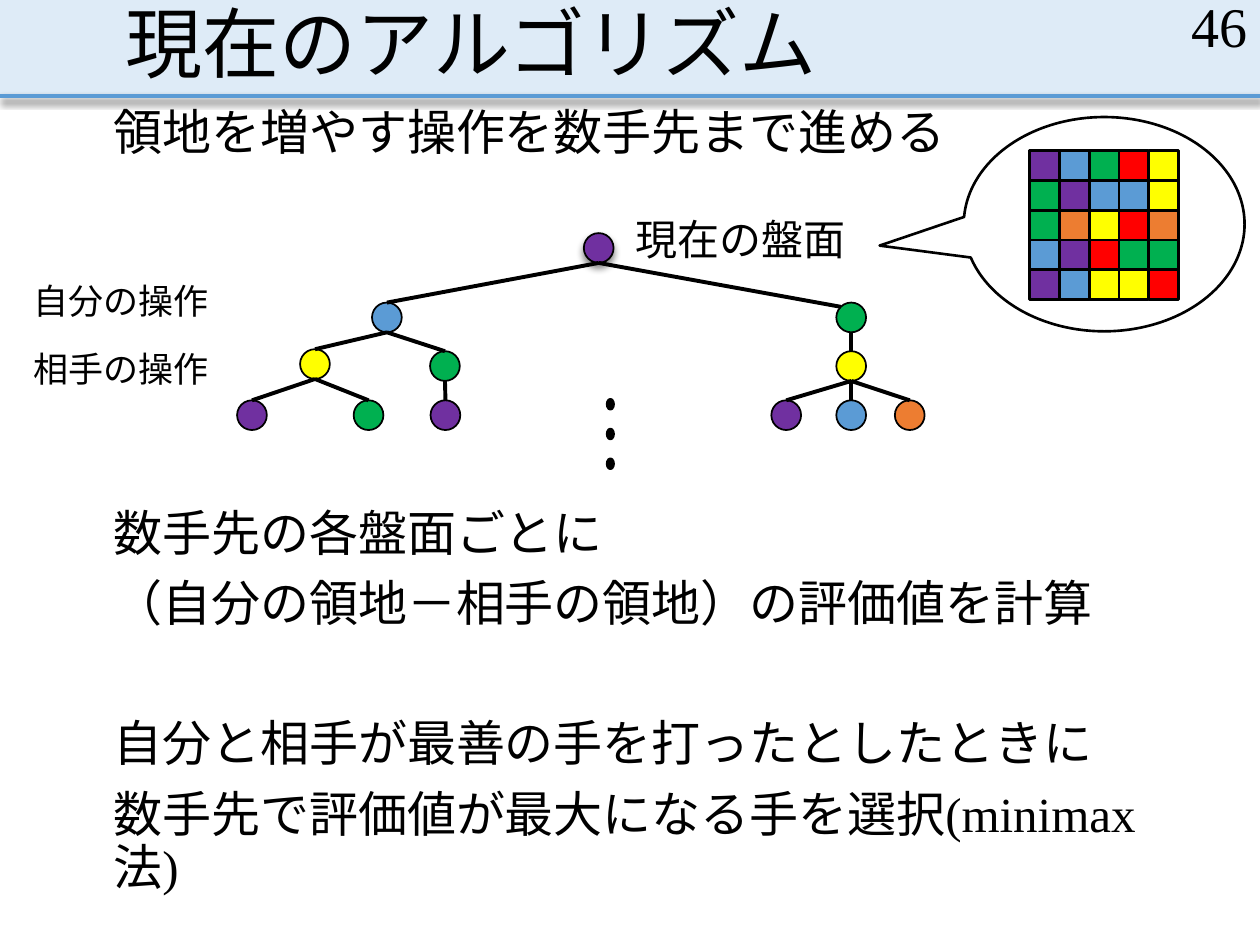
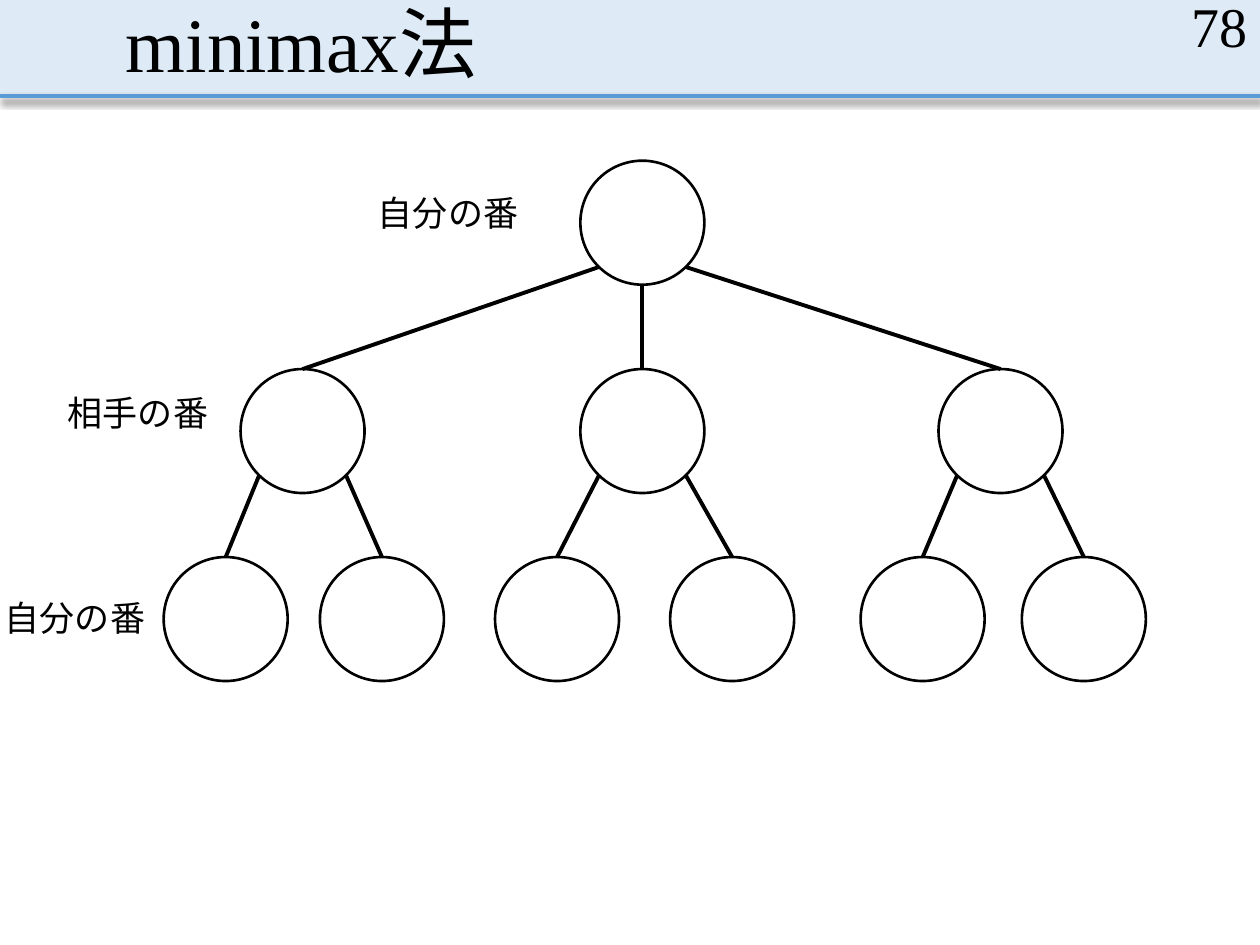
from math import sqrt

from lxml.etree import SubElement
from pptx import Presentation
from pptx.dml.color import RGBColor
from pptx.enum.lang import MSO_LANGUAGE_ID as Language
from pptx.enum.shapes import MSO_CONNECTOR as Connector, MSO_SHAPE as Shape
from pptx.enum.text import MSO_ANCHOR as Anchor, PP_ALIGN as Align
from pptx.oxml.ns import qn
from pptx.util import Cm, Pt

rgb = RGBColor.from_string
FONT = "Times New Roman"
BLACK, WHITE, PALE = "000000", "FFFFFF", "DEEBF7"
PURPLE, BLUE, GREEN = "7030A0", "5B9BD5", "00B050"
YELLOW, RED, ORANGE = "FFFF00", "FF0000", "ED7D31"


def add_figure(shapes, kind, left, top, width, height, fill, line=0):
    """Add a preset shape measured in cm; a line of 0 points means no outline."""
    figure = shapes.add_shape(kind, Cm(left), Cm(top), Cm(width), Cm(height))
    figure.shadow.inherit = False
    figure.fill.solid()
    figure.fill.fore_color.rgb = rgb(fill)
    if line:
        figure.line.color.rgb = rgb(BLACK)
        figure.line.width = Pt(line)
    else:
        figure.line.fill.background()
    return figure


def add_text(page, place, size, lines, spacing=1.0, inset=0.25,
             anchor=Anchor.TOP, align=Align.LEFT):
    """Add a text box; lines holds (text, points of space before) pairs."""
    box = page.shapes.add_textbox(*[Cm(length) for length in place])
    frame = box.text_frame
    frame.word_wrap = True
    frame.vertical_anchor = anchor
    frame.margin_left = frame.margin_right = Cm(inset)
    for index, (text, before) in enumerate(lines):
        para = frame.add_paragraph() if index else frame.paragraphs[0]
        para.alignment = align
        para.line_spacing = spacing
        para.space_before = Pt(before)
        span = para.add_run()
        span.text = text
        span.font.name = FONT
        span.font.size = Pt(size)
        span.font.language_id = Language.JAPANESE
        span.font.color.rgb = rgb(BLACK)


deck = Presentation()
deck.slide_width, deck.slide_height = Cm(25.4), Cm(19.05)

# Shared header: band, rule, title and page number
pages, raised = [], []
for title, number in [("現在のアルゴリズム", "46"), ("minimax法", "78")]:
    page = deck.slides.add_slide(deck.slide_layouts[6])
    pages.append(page)
    add_figure(page.shapes, Shape.RECTANGLE, 0, 0, 25.4, 1.93, PALE)
    rule = page.shapes.add_connector(Connector.STRAIGHT, 0, Cm(1.93), Cm(25.4), Cm(1.93))
    rule.line.color.rgb = rgb(BLUE)
    rule.line.width = Pt(2.25)
    raised.append((rule, SubElement(rule._element.spPr, qn("a:effectLst"))))
    add_text(page, (2.29, 0, 20.96, 1.93), 44, [(title, 0)], 0.9, anchor=Anchor.BOTTOM)
    add_text(page, (19.69, 0, 5.71, 1.02), 32, [(number, 0)],
             anchor=Anchor.MIDDLE, align=Align.RIGHT)
algorithm, minimax = pages

# Wording of the algorithm slide
add_text(algorithm, (2.29, 2.06, 20.96, 1.55), 28,
         [("領地を増やす操作を数手先まで進める", 0)], 0.9, inset=0)
add_text(algorithm, (2.29, 10.13, 21.87, 6.73), 28, [
    ("数手先の各盤面ごとに", 0),
    ("（自分の領地－相手の領地）の評価値を計算", 10),
    ("自分と相手が最善の手を打ったとしたときに", 50),
    ("数手先で評価値が最大になる手を選択(minimax法)", 10),
], 0.9, inset=0)
add_text(algorithm, (12.57, 4.17, 5.2, 1.27), 24, [("現在の盤面", 0)])

# Who moves at each level
for page, left, top, width, label in [
    (algorithm, 0.43, 5.51, 4.17, "自分の操作"),
    (algorithm, 0.43, 6.88, 4.17, "相手の操作"),
    (minimax, 7.37, 3.73, 3.45, "自分の番"),
    (minimax, 1.12, 7.77, 3.45, "相手の番"),
    (minimax, -0.15, 11.91, 3.45, "自分の番"),
]:
    add_text(page, (left, top, width, 1.12), 20, [(label, 0)])

# Current board in its callout
callout = algorithm.shapes.add_group_shape()
bubble = add_figure(callout.shapes, Shape.OVAL_CALLOUT, 19.43, 2.36, 5.66, 4.32, WHITE, 1.5)
bubble.adjustments[0], bubble.adjustments[1] = -0.8, 0.1
CELL = 0.6
board = [
    (PURPLE, BLUE, GREEN, RED, YELLOW),
    (GREEN, PURPLE, BLUE, BLUE, YELLOW),
    (GREEN, ORANGE, YELLOW, RED, ORANGE),
    (BLUE, PURPLE, RED, GREEN, GREEN),
    (PURPLE, BLUE, YELLOW, YELLOW, RED),
]
for row, colours in enumerate(board):
    for column, colour in enumerate(colours):
        add_figure(callout.shapes, Shape.RECTANGLE, 20.76 + column * CELL,
                   3.04 + row * CELL, CELL, CELL, colour, 1.5)

# Vertical dots for the moves left out
dots = algorithm.shapes.add_group_shape()
for step in range(3):
    add_figure(dots.shapes, Shape.OVAL, 12.24, 8.05 + step * 0.6, 0.13, 0.2, BLACK, 1.5)

# Trees: left, top, fill, parent index, then where the link leaves the parent
# and enters the child, as fractions of the circle's width
MIDDLE, NEAR, FAR = 0.5, 0.15, 0.85
move_tree = [
    (11.77, 4.7, PURPLE, None, MIDDLE, MIDDLE),
    (7.5, 6.1, BLUE, 0, MIDDLE, MIDDLE),
    (16.86, 6.1, GREEN, 0, MIDDLE, NEAR),
    (6.05, 7.04, YELLOW, 1, MIDDLE, MIDDLE),
    (8.67, 7.08, GREEN, 1, MIDDLE, MIDDLE),
    (16.86, 7.08, YELLOW, 2, MIDDLE, MIDDLE),
]
for left, colour, parent in [
    (4.78, PURPLE, 3), (7.13, GREEN, 3), (8.68, PURPLE, 4),
    (15.55, PURPLE, 5), (16.86, BLUE, 5), (18.04, ORANGE, 5),
]:
    move_tree.append((left, 8.07, colour, parent, MIDDLE, MIDDLE))

turn_tree = [(11.7, 3.24, WHITE, None, MIDDLE, MIDDLE)]
for left, leaving in [(4.85, NEAR), (11.7, MIDDLE), (18.92, FAR)]:
    turn_tree.append((left, 7.44, WHITE, 0, leaving, MIDDLE))
for index, left in enumerate([3.3, 6.45, 9.98, 13.51, 17.35, 20.6]):
    leaving = FAR if index % 2 else NEAR
    turn_tree.append((left, 11.23, WHITE, 1 + index // 2, leaving, MIDDLE))

for page, tree, size, outline in [(algorithm, move_tree, 0.6, 1), (minimax, turn_tree, 2.5, 1.5)]:
    nodes = []
    for left, top, colour, parent, leaving, entering in tree:
        nodes.append(add_figure(page.shapes, Shape.OVAL, left, top, size, size, colour, outline))
        if parent is None:
            continue
        parent_left, parent_top = tree[parent][:2]
        # Height of the rim above or below the centre at each end
        rise, drop = [size * sqrt(0.25 - (part - 0.5) ** 2) for part in (entering, leaving)]
        link = page.shapes.add_connector(
            Connector.STRAIGHT,
            Cm(parent_left + leaving * size), Cm(parent_top + size / 2 + drop),
            Cm(left + entering * size), Cm(top + size / 2 - rise))
        link.line.color.rgb = rgb(BLACK)
        link.line.width = Pt(2.25)
        SubElement(link._element.spPr, qn("a:effectLst"))
    if page is algorithm:
        root = nodes[0]
        raised.append((root, root._element.spPr.find(qn("a:effectLst"))))

# Soft drop shadow under the rules and the current position
for item, effects in raised:
    shadow = SubElement(effects, qn("a:outerShdw"), blurRad=str(Pt(4)), dist=str(Pt(2.5)),
                        dir="5400000", rotWithShape="0")
    tint = SubElement(shadow, qn("a:srgbClr"), val=BLACK)
    SubElement(tint, qn("a:alpha"), val="47000")

deck.save("out.pptx")
